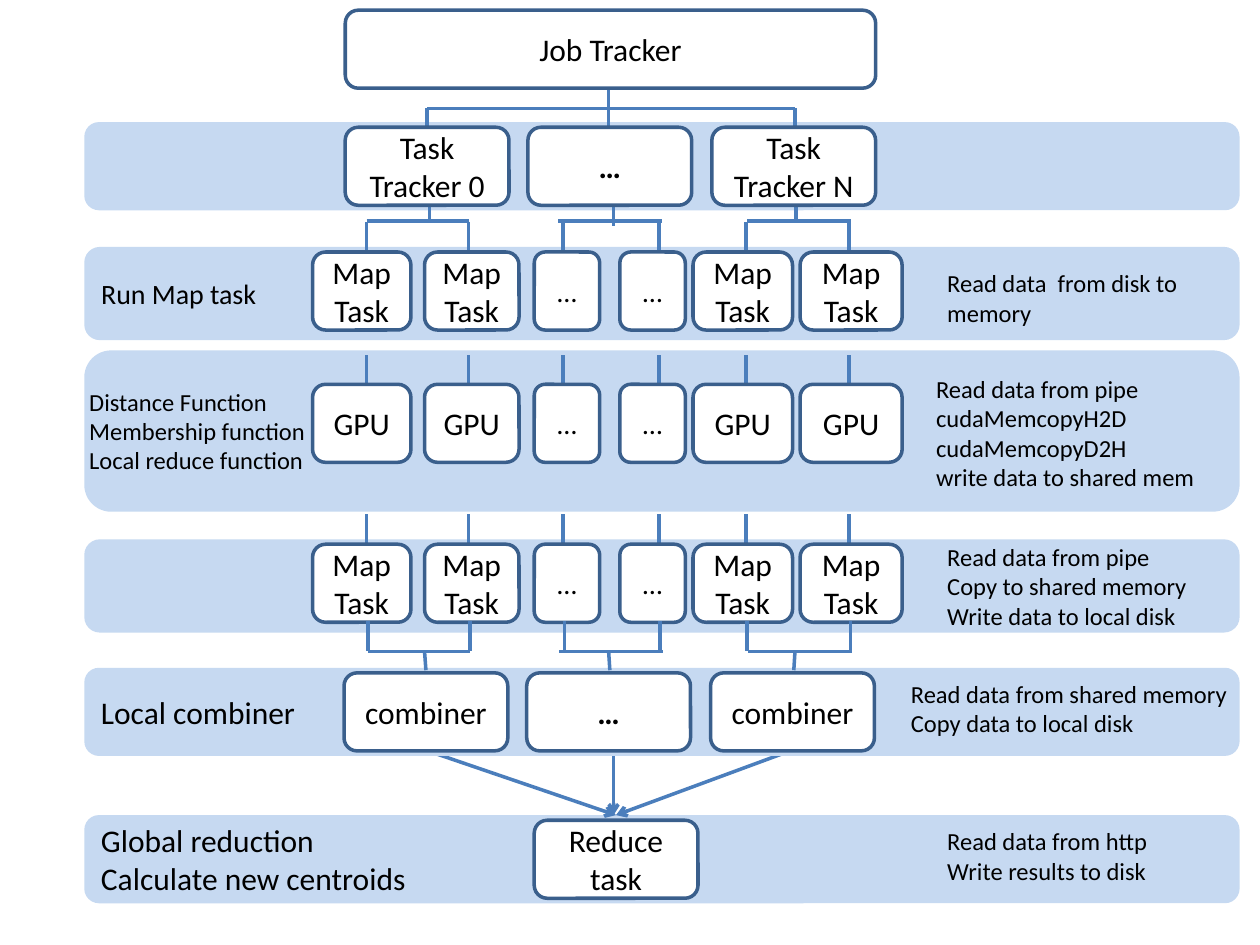
import pptx
import pptx.util
import pptx.dml.color
import pptx.enum.shapes
import pptx.enum.text
from lxml import etree

Pt = pptx.util.Pt
Shape = pptx.enum.shapes.MSO_SHAPE
Align = pptx.enum.text.PP_ALIGN

PALE, WHITE, EDGE, WIRE, BLACK = "C6D9F1", "FFFFFF", "3A5F8C", "4B7EBC", "000000"
BOX_H = 44.6

# Six task columns: left, width, wire position
COLS = [(178.6, 56.2, 209.5), (242.6, 54, 267.8), (305.3, 37.4, 321.8),
        (354.2, 37.4, 376.6), (396, 56.9, 426.2), (457.2, 58.3, 485.3)]
# Three wider columns for trackers and combiners
WIDE_X, WIDE_W = [197.3, 301.7, 406.8], 93.6
# Span of the bar that joins each pair of columns
BARS = [(209.5, 267.8), (319, 378), (427, 486)]


def color(text):
    return pptx.dml.color.RGBColor.from_string(text)


def write(frame, lines, size, align=Align.LEFT, bold=False):
    frame.word_wrap = True
    for i, line in enumerate(lines):
        par = frame.paragraphs[0] if i == 0 else frame.add_paragraph()
        par.alignment = align
        run = par.add_run()
        run.text = line
        font = run.font
        font.name, font.size, font.bold = "Calibri", Pt(size), bold
        font.color.rgb = color(BLACK)


def panel(slide, x, y, w, h, fill):
    shape = slide.shapes.add_shape(Shape.ROUNDED_RECTANGLE, Pt(x), Pt(y), Pt(w), Pt(h))
    shape.shadow.inherit = False
    shape.fill.solid()
    shape.fill.fore_color.rgb = color(fill)
    shape.text_frame.vertical_anchor = pptx.enum.text.MSO_ANCHOR.MIDDLE
    return shape


def band(slide, y, h, lines=(), size=18):
    shape = panel(slide, 48.2, y, 660.2, h, PALE)
    shape.line.fill.background()
    write(shape.text_frame, lines, size)


def box(slide, x, y, w, text, size=18, bold=False):
    shape = panel(slide, x, y, w, BOX_H, WHITE)
    shape.line.color.rgb = color(EDGE)
    shape.line.width = Pt(2)
    write(shape.text_frame, [text], size, Align.CENTER, bold)


def wire(slide, x1, y1, x2, y2, arrow=False):
    line = slide.shapes.add_connector(
        pptx.enum.shapes.MSO_CONNECTOR.STRAIGHT, Pt(x1), Pt(y1), Pt(x2), Pt(y2))
    line.line.color.rgb = color(WIRE)
    line.line.width = Pt(2)
    props = line._element.spPr
    space = "{http://schemas.openxmlformats.org/drawingml/2006/main}"
    if arrow:
        etree.SubElement(props.find(space + "ln"), space + "tailEnd", type="arrow")
    etree.SubElement(props, space + "effectLst")


def note(slide, x, y, w, h, lines):
    shape = slide.shapes.add_textbox(Pt(x), Pt(y), Pt(w), Pt(h))
    write(shape.text_frame, lines, 14)
    shape.text_frame.auto_size = pptx.enum.text.MSO_AUTO_SIZE.SHAPE_TO_FIT_TEXT


def drops(slide, top, low, shift=0):
    for _, _, x in COLS:
        wire(slide, x + shift, top, x + shift, low)


def tasks(slide, y, text):
    for i, (x, w, _) in enumerate(COLS):
        if i in (2, 3):
            box(slide, x, y, w, "…", 16)
        else:
            box(slide, x, y, w, text)


def trio(slide, y, names, shift=0):
    for x, name in zip(WIDE_X, names):
        box(slide, x + shift, y, WIDE_W, name, bold=name == "…")


def bars(slide, y, shift=0):
    for left, right in BARS:
        wire(slide, left + shift, y, right + shift, y)


def main():
    deck = pptx.Presentation()
    deck.slide_width, deck.slide_height = Pt(720), Pt(540)
    slide = deck.slides.add_slide(deck.slide_layouts[6])

    # Stage bands, with the arrows tucked under the combiner band
    band(slide, 69.8, 50.4)
    band(slide, 141.1, 53.3, ["Run Map task"], 16)
    band(slide, 200.2, 92.2)
    band(slide, 308.2, 53.3)
    band(slide, 465.8, 50.4, ["Global reduction", "Calculate new centroids"])
    for start, end in [(238.3, 352), (350.6, 350.6), (457.2, 352)]:
        wire(slide, start, 427, end, 465.8, arrow=True)
    band(slide, 381.6, 50.4, ["Local combiner"])

    # Job tracker to task trackers
    wire(slide, 244.1, 61.9, 454.3, 61.9)
    for x, top in [(244.1, 61.9), (347.8, 45.4), (454.3, 61.9)]:
        wire(slide, x, top, x, 78.5)
    for x, low in [(245.5, 126.4), (350.6, 128.9), (455, 126)]:
        wire(slide, x, 111.6, x, low)
    box(slide, 197.3, 5.8, 303.1, "Job Tracker")
    trio(slide, 72.7, ["Task Tracker 0", "…", "Task Tracker N"])

    # Map, GPU and second map rows, each fed from above
    bars(slide, 126.2)
    for top, y, name in [(126.7, 144, "Map Task"), (203, 219.6, "GPU"),
                         (293.8, 311, "Map Task")]:
        drops(slide, top, y)
        tasks(slide, y, name)

    # Combiners and final reduction
    drops(slide, 355, 372.2, 0.7)
    bars(slide, 372.2, 0.7)
    for x, end in [(242.6, 243.4), (347.8, 348.5), (454.3, 453.6)]:
        wire(slide, x, 372.2, end, 383)
    trio(slide, 384.5, ["combiner", "…", "combiner"], -0.7)
    box(slide, 305.3, 468.7, WIDE_W, "Reduce task")

    # Side notes
    note(slide, 534.2, 149.8, 174.2, 41, ["Read data  from disk to memory"])
    note(slide, 527.8, 210.2, 185.8, 74.9, [
        "Read data from pipe", "cudaMemcopyH2D", "cudaMemcopyD2H",
        "write data to shared mem"])
    note(slide, 534.2, 306, 167, 58.3, [
        "Read data from pipe", "Copy to shared memory", "Write data to local disk"])
    note(slide, 513.4, 384.5, 200.9, 41, [
        "Read data from shared memory", "Copy data to local disk"])
    note(slide, 534.2, 468.7, 149.8, 41, ["Read data from http", "Write results to disk"])
    note(slide, 43.9, 217.4, 141.8, 58.3, [
        "Distance Function", "Membership function", "Local reduce function"])

    deck.save("out.pptx")


if __name__ == "__main__":
    main()
